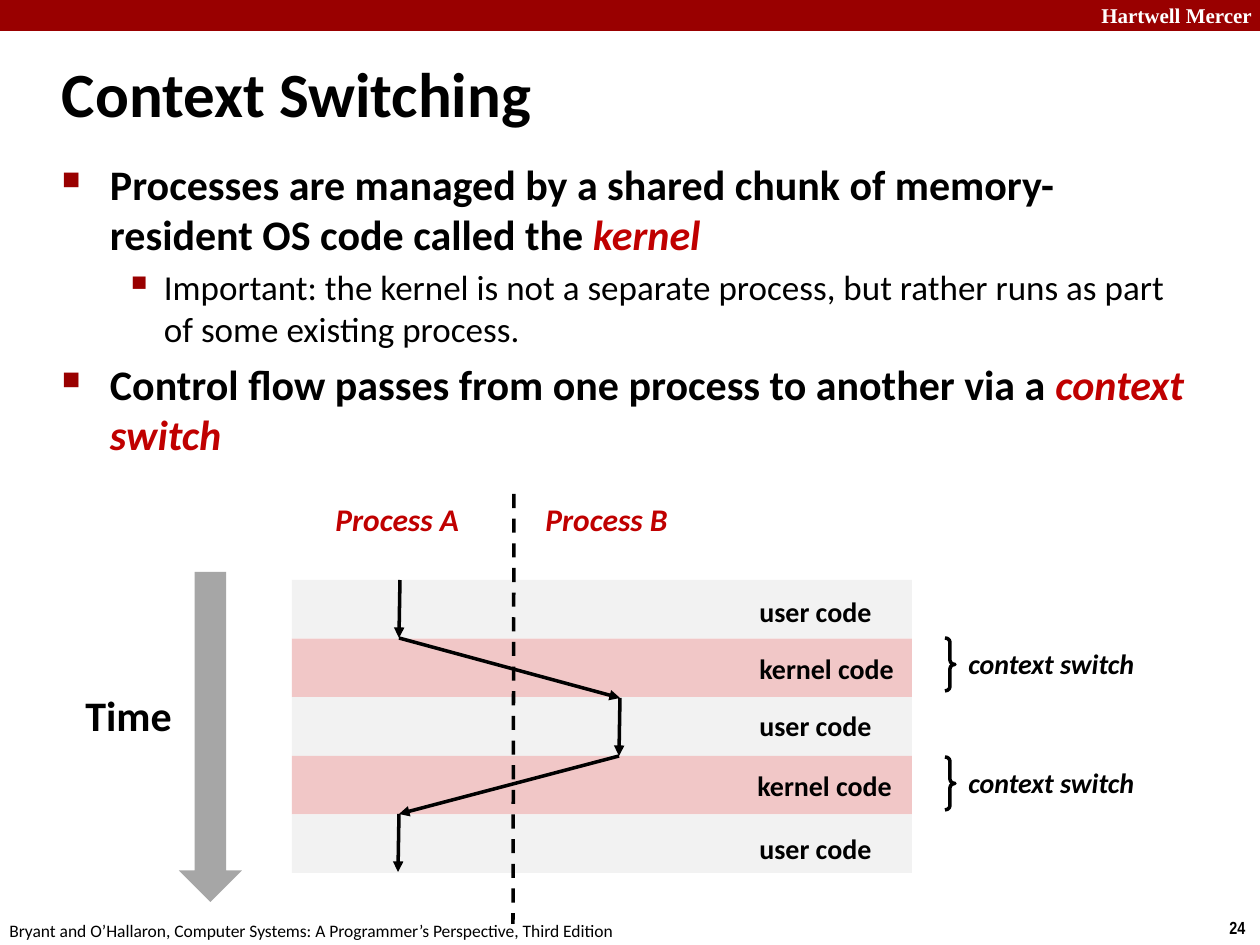
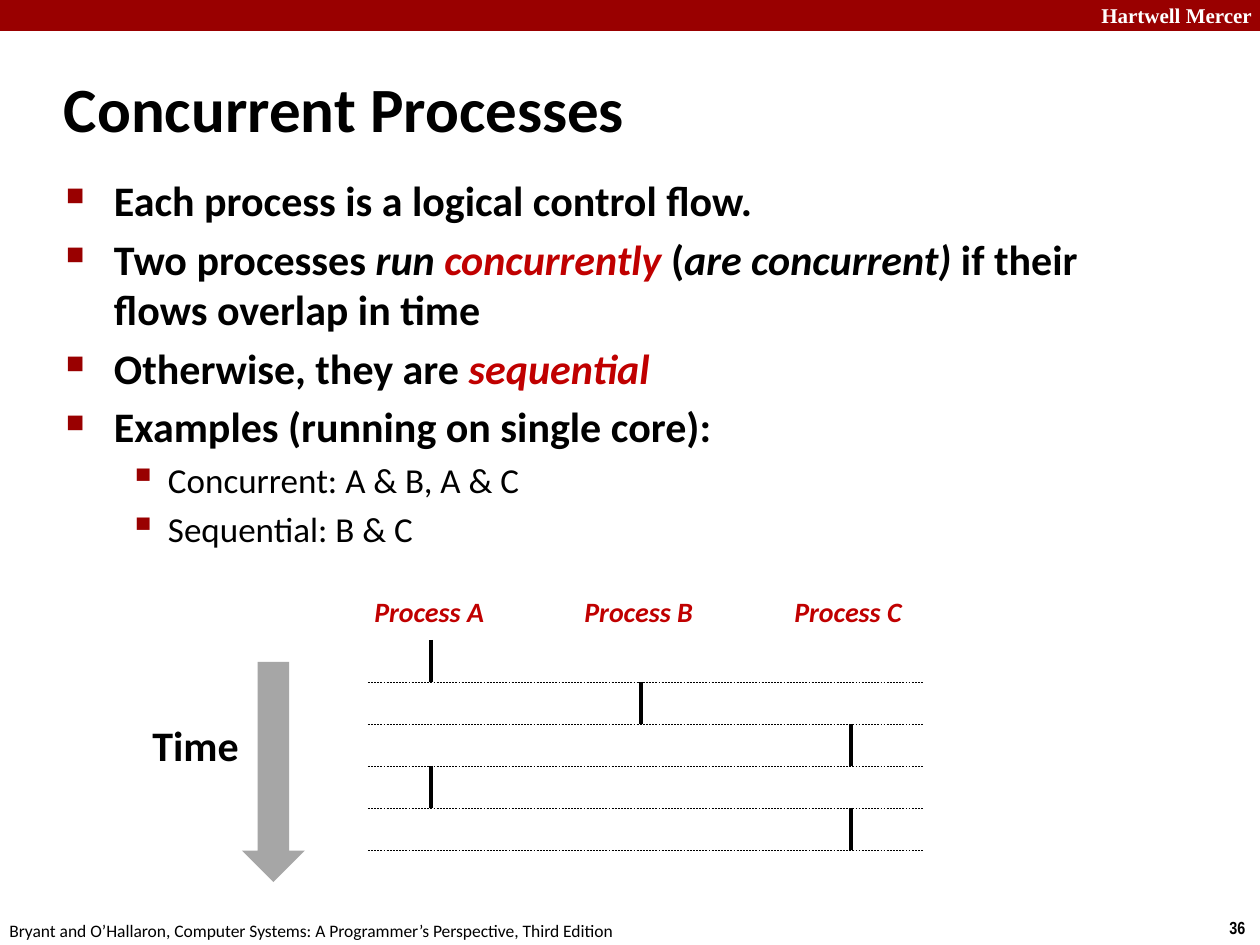
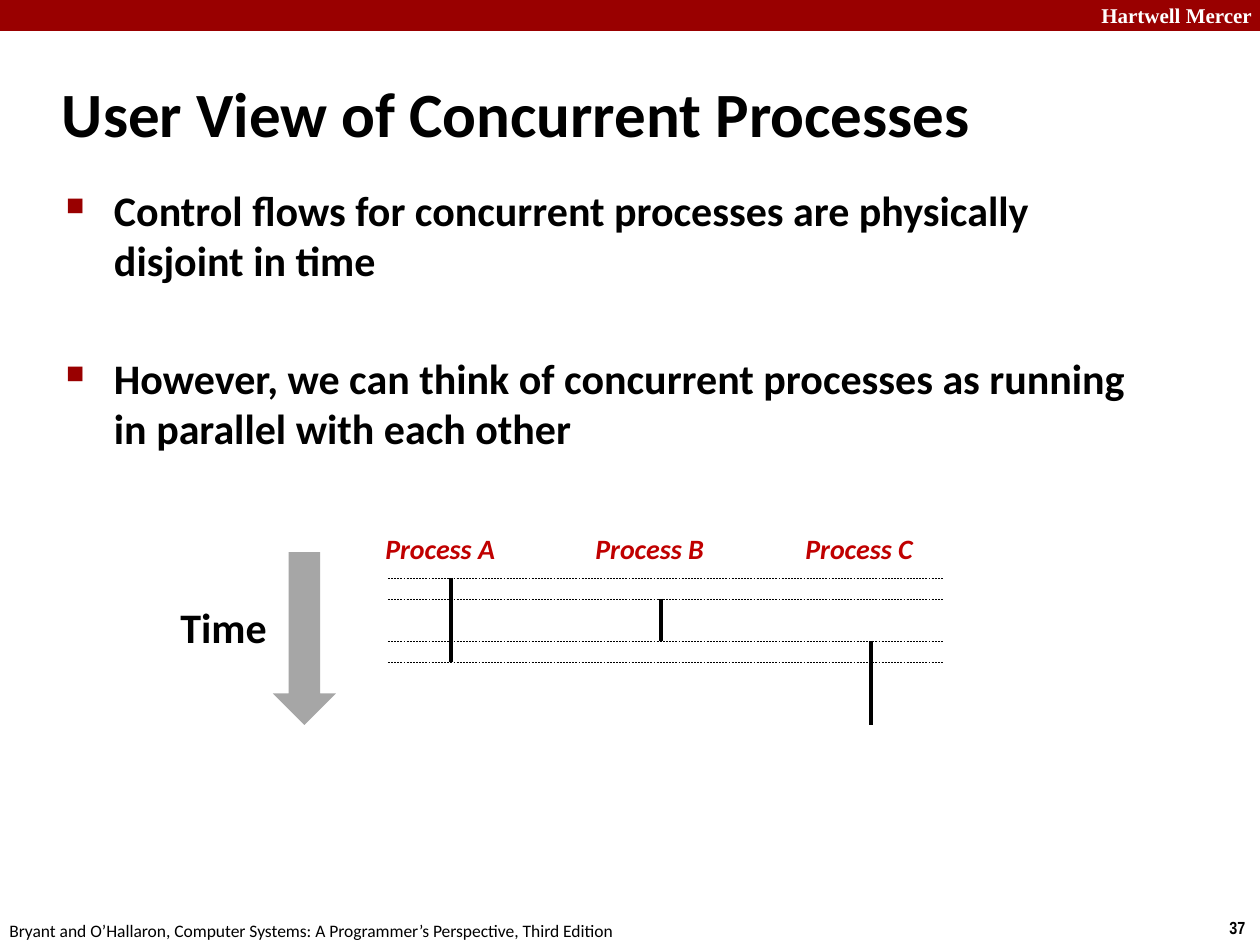
"""Build three lecture slides on context switching and concurrent processes."""
from dataclasses import dataclass
from itertools import pairwise

from lxml.etree import SubElement
from pptx import Presentation
from pptx.dml.color import RGBColor
from pptx.enum.dml import MSO_LINE
from pptx.enum.shapes import MSO_CONNECTOR, MSO_SHAPE
from pptx.enum.text import MSO_ANCHOR
from pptx.oxml.ns import qn
from pptx.util import Emu, Pt


@dataclass(frozen=True)
class Theme:
    band: str = "990000"
    key: str = "C00000"
    ink: str = "000000"
    paper: str = "FFFFFF"
    user: str = "F2F2F2"
    kernel: str = "F1C7C7"
    arrow: str = "A6A6A6"
    font: str = "Calibri"
    header_font: str = "Times New Roman"
    number_font: str = "Arial Narrow"
    title_size: int = 36
    body_sizes: tuple = (24, 20)
    time_size: int = 24
    process_size: int = 18
    label_size: int = 16
    header_size: int = 12
    footer_size: int = 10
    line: float = 2
    guide_line: float = 0.25


THEME = Theme()
EMU_PER_PX = 914400 / 126
WIDTH, HEIGHT = 1260, 945
INSET = 9

HEADER = "Hartwell Mercer"
FOOTER = "Bryant and O’Hallaron, Computer Systems: A Programmer’s Perspective, Third Edition"

BULLETS = (("■", 60, 48, 48), ("▪", 110, 102, 39))

SLIDES = [
    {
        "number": "24",
        "title": ("Context Switching", (53, 53, 805, 79)),
        "body_box": (53, 152, 1143, 352),
        "body": [
            (0, [("Processes are managed by a shared chunk of memory-resident OS code called the ", ""),
                 ("kernel", "key")]),
            (1, [("Important: the kernel is not a separate process, but rather runs as part "
                  "of some existing process.", "")]),
            (0, [("Control flow passes from one process to another via a ", ""),
                 ("context switch", "key")]),
        ],
        "time": ((73, 683), (179, 572, 63, 330)),
    },
    {
        "number": "36",
        "title": ("Concurrent Processes", (55, 68, 837, 79)),
        "body_box": (57, 168, 1089, 357),
        "body": [
            (0, [("Each process is a logical control flow.", "")]),
            (0, [("Two processes ", ""), ("run ", "italic"), ("concurrently", "key"), (" (", ""),
                 ("are concurrent)", "italic"), (" if their flows overlap in time", "")]),
            (0, [("Otherwise, they are ", ""), ("sequential", "key")]),
            (0, [("Examples (running on single core):", "")]),
            (1, [("Concurrent: A & B, A & C", "")]),
            (1, [("Sequential: B & C", "")]),
        ],
        "time": ((140, 713), (242, 662, 63, 220)),
        "timeline": {
            "labels": (362, 588),
            "origin": (431, 640),
            "guides": (2, 4, 6, 8, 10),
            "bursts": [("A", 0), ("B", 2), ("C", 4), ("A", 6), ("C", 8)],
        },
    },
    {
        "number": "37",
        "title": ("User View of Concurrent Processes", (53, 73, 1166, 79)),
        "body_box": (57, 178, 1089, 275),
        "body": [
            (0, [("Control flows for concurrent processes are physically disjoint in time", "")]),
            (0, [("However, we can think of concurrent processes as running "
                  "in parallel with each other", "")]),
        ],
        "last_gap": 38.5,
        "time": ((168, 595), (273, 552, 63, 173)),
        "timeline": {
            "labels": (373, 525),
            "origin": (451, 578),
            "guides": (0, 1, 3, 4),
            "bursts": [("A", 0), ("A", 2), ("B", 1), ("C", 3), ("C", 5)],
        },
    },
]

PROCESSES = "ABC"
COLUMN_STEP, TIME_STEP, BURST_STEPS = 210, 21, 2
GUIDE_LEAD, GUIDE_LENGTH = 63, 556

LANE_LEFT, LANE_TOP, LANE_WIDTH, LANE_BOTTOM = 292, 580, 620, 873
LANES = [
    ("user code", 747, 588),
    ("kernel code", 747, 645),
    ("user code", 747, 702),
    ("kernel code", 745, 762),
    ("user code", 747, 825),
]
LANE_HEIGHT = (LANE_BOTTOM - LANE_TOP) / len(LANES)
CONTROL_FLOW = [(400, 580), (399, 638), (620, 698), (619, 756), (399, 814), (398, 872)]
DIVIDER = ((514, 494), (513, 924))
SWITCH_TOPS = (638, 757)
LANE_HEADINGS = [("Process A", 323, 151), ("Process B", 533, 150)]


def px(value):
    return Emu(round(value * EMU_PER_PX))


def style_run(run, size, font=THEME.font, color=THEME.ink, bold=True, italic=False):
    run.font.name = font
    run.font.size = Pt(size)
    run.font.bold = bold
    run.font.italic = italic
    run.font.color.rgb = RGBColor.from_string(color)


def add_frame(slide, box, wrap=False):
    frame = slide.shapes.add_textbox(*map(px, box)).text_frame
    frame.word_wrap = wrap
    return frame


def add_label(slide, text, box, size, wrap=False, **style):
    frame = add_frame(slide, box, wrap)
    frame.text = text
    style_run(frame.paragraphs[0].runs[0], size, **style)
    return frame


def add_shape(slide, kind, box, fill=None):
    shape = slide.shapes.add_shape(kind, *map(px, box))
    shape.shadow.inherit = False
    if fill:
        shape.fill.solid()
        shape.fill.fore_color.rgb = RGBColor.from_string(fill)
        shape.line.fill.background()
    else:
        shape.fill.background()
        shape.line.color.rgb = RGBColor.from_string(THEME.ink)
        shape.line.width = Pt(THEME.line)
    return shape


def add_line(slide, start, end, width=THEME.line, dashed=False, arrow=False):
    connector = slide.shapes.add_connector(MSO_CONNECTOR.STRAIGHT, *map(px, start + end))
    connector.line.color.rgb = RGBColor.from_string(THEME.ink)
    connector.line.width = Pt(width)
    if dashed:
        connector.line.dash_style = MSO_LINE.DASH
    properties = connector._element.spPr
    if arrow:
        SubElement(properties.find(qn("a:ln")), qn("a:tailEnd"), type="triangle")
    SubElement(properties, qn("a:effectLst"))


def add_bullet(paragraph, level):
    character, percent, margin, hanging = BULLETS[level]
    properties = paragraph._p.get_or_add_pPr()
    properties.set("marL", str(px(margin)))
    properties.set("indent", str(-px(hanging)))
    color = SubElement(properties, qn("a:buClr"))
    SubElement(color, qn("a:srgbClr"), val=THEME.band)
    SubElement(properties, qn("a:buSzPct"), val=str(percent * 1000))
    SubElement(properties, qn("a:buChar"), char=character)


def add_body(slide, box, items, last_gap=None):
    frame = add_frame(slide, box, wrap=True)
    frame.margin_left = frame.margin_right = px(INSET)
    for index, (level, segments) in enumerate(items):
        paragraph = frame.paragraphs[0] if index == 0 else frame.add_paragraph()
        size = THEME.body_sizes[level]
        paragraph.level = level
        paragraph.space_before = Pt(size * 0.2)
        add_bullet(paragraph, level)
        for text, emphasis in segments:
            run = paragraph.add_run()
            run.text = text
            style_run(run, size, color=THEME.key if emphasis == "key" else THEME.ink,
                      bold=level == 0, italic=bool(emphasis))
    if last_gap:
        paragraph.space_before = Pt(last_gap)


def add_base(slide, number, title):
    add_shape(slide, MSO_SHAPE.RECTANGLE, (0, 0, WIDTH, 31), THEME.band)
    add_label(slide, HEADER, (1089, -4, 180, 38), THEME.header_size, wrap=True,
              font=THEME.header_font, color=THEME.paper)
    add_label(slide, number, (1217, 911, 43, 34), THEME.footer_size, font=THEME.number_font)
    add_label(slide, FOOTER, (-3, 914, 640, 34), THEME.footer_size, bold=False)
    text, box = title
    frame = add_label(slide, text, box, THEME.title_size, wrap=True)
    frame.vertical_anchor = MSO_ANCHOR.MIDDLE
    frame.margin_left = frame.margin_right = px(INSET)


def add_time(slide, label_corner, arrow_box):
    add_label(slide, "Time", (*label_corner, 112, 63), THEME.time_size)
    add_shape(slide, MSO_SHAPE.DOWN_ARROW, arrow_box, THEME.arrow)


def add_switch_diagram(slide):
    for index, (text, left, top) in enumerate(LANES):
        lane_top = LANE_TOP + index * LANE_HEIGHT
        fill = THEME.kernel if text.startswith("kernel") else THEME.user
        add_shape(slide, MSO_SHAPE.RECTANGLE, (LANE_LEFT, lane_top, LANE_WIDTH, LANE_HEIGHT), fill)
        width = 161 if text.startswith("kernel") else 139
        add_label(slide, text, (left, top, width, 47), THEME.label_size)
    for text, left, width in LANE_HEADINGS:
        add_label(slide, text, (left, 494, width, 50), THEME.process_size,
                  color=THEME.key, italic=True)
    add_line(slide, *DIVIDER, dashed=True)
    for start, end in pairwise(CONTROL_FLOW):
        add_line(slide, start, end, arrow=True)
    for top in SWITCH_TOPS:
        brace = add_shape(slide, MSO_SHAPE.RIGHT_BRACE, (945, top, 10, 53))
        brace.adjustments[0] = 0.42
        add_label(slide, "context switch", (956, top + 2, 194, 47), THEME.label_size, italic=True)


def add_timeline(slide, labels, origin, guides, bursts):
    label_left, label_top = labels
    left, top = origin
    for index, process in enumerate(PROCESSES):
        add_label(slide, f"Process {process}",
                  (label_left + index * COLUMN_STEP, label_top, 137, 47),
                  THEME.label_size, color=THEME.key, italic=True)
    for process, step in bursts:
        x = left + PROCESSES.index(process) * COLUMN_STEP
        y = top + step * TIME_STEP
        add_line(slide, (x, y), (x, y + BURST_STEPS * TIME_STEP))
    guide_left = left - GUIDE_LEAD
    for step in guides:
        y = top + step * TIME_STEP
        add_line(slide, (guide_left, y), (guide_left + GUIDE_LENGTH, y),
                 THEME.guide_line, dashed=True)


def main():
    presentation = Presentation()
    presentation.slide_width, presentation.slide_height = px(WIDTH), px(HEIGHT)
    for content in SLIDES:
        slide = presentation.slides.add_slide(presentation.slide_layouts[6])
        add_base(slide, content["number"], content["title"])
        add_body(slide, content["body_box"], content["body"], content.get("last_gap"))
        if "timeline" in content:
            add_timeline(slide, **content["timeline"])
        else:
            add_switch_diagram(slide)
        add_time(slide, *content["time"])
    presentation.save("out.pptx")


if __name__ == "__main__":
    main()
